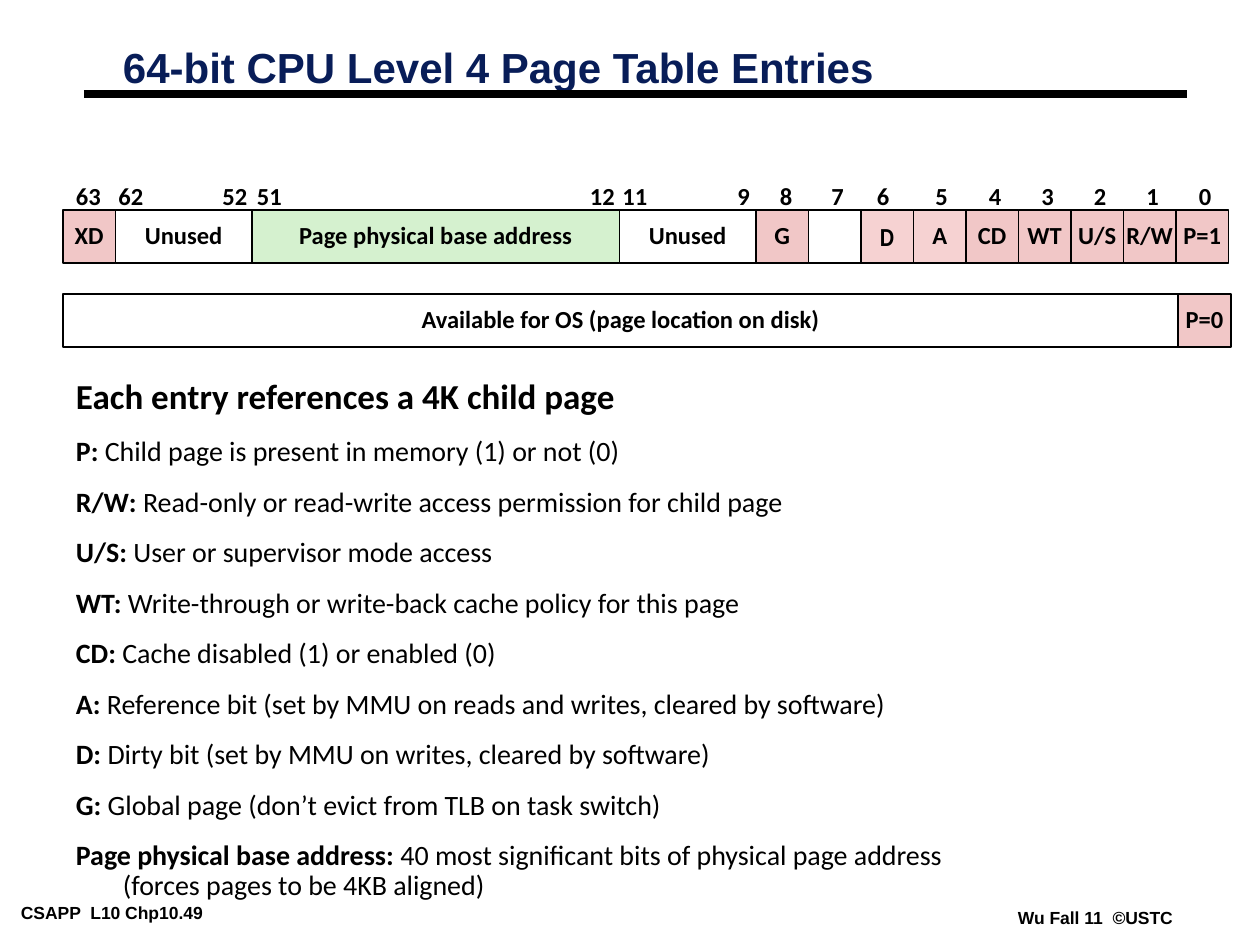
from lxml import etree
from pptx import Presentation
from pptx.dml.color import RGBColor
from pptx.enum.shapes import MSO_CONNECTOR, MSO_SHAPE
from pptx.enum.text import MSO_ANCHOR, MSO_AUTO_SIZE, PP_ALIGN
from pptx.oxml.ns import qn
from pptx.util import Emu, Pt

PX = 914400 / 126
COLORS = {"ink": "000000", "title": "081D58", "none": "FFFFFF",
          "flag": "F1C7C7", "soft": "F6D2D2", "address": "D5F1CF"}

TITLE = "64-bit CPU Level 4 Page Table Entries"
FOOTERS = [("CSAPP  L10 Chp10.49", 13, 898, 265),
           ("Wu Fall 11  ©USTC", 1010, 903, 174)]

# text, width in units, fill, bit labels with their offset from the cell's left
PRESENT_ENTRY = [
    ("XD", 5, "flag", [("63", 0)]),
    ("Unused", 13, "none", [("62", -10), ("52", 94)]),
    ("Page physical base address", 35, "address", [("51", -8), ("12", 325)]),
    ("Unused", 13, "none", [("11", -10), ("9", 105)]),
    ("G", 5, "flag", [("8", 11)]),
    ("", 5, "none", [("7", 10)]),
    ("D", 5, "soft", [("6", 3)]),
    ("A", 5, "soft", [("5", 9)]),
    ("CD", 5, "flag", [("4", 10)]),
    ("WT", 5, "flag", [("3", 10)]),
    ("U/S", 5, "flag", [("2", 10)]),
    ("R/W", 5, "flag", [("1", 10)]),
    ("P=1", 5, "flag", [("0", 10)]),
]
ABSENT_ENTRY = [("Available for OS (page location on disk)", 63, 1115, "none"),
                ("P=0", 1178, 53, "flag")]

HEADING = "Each entry references a 4K child page"
FIELDS = [
    ("P", "Child page is present in memory (1) or not (0)"),
    ("R/W", "Read-only or read-write access permission for child page"),
    ("U/S", "User or supervisor mode access"),
    ("WT", "Write-through or write-back cache policy for this page"),
    ("CD", "Cache disabled (1) or enabled (0)"),
    ("A", "Reference bit (set by MMU on reads and writes, cleared by software)"),
    ("D", "Dirty bit (set by MMU on writes, cleared by software)"),
    ("G", "Global page (don’t evict from TLB on task switch)"),
    ("Page physical base address",
     "40 most significant bits of physical page address (forces pages to be 4KB aligned)"),
]

ENTRY_LEFT, UNIT, CELL_HEIGHT = 63, 105 / 10, 53
PRESENT_TOP, ABSENT_TOP, LABEL_TOP = 210, 294, 179


def px(*values):
    return [Emu(round(v * PX)) for v in values]


def rgb(name):
    return RGBColor.from_string(COLORS[name])


def write(p, text, size=14, font="Calibri", color="ink", bold=True, spacing=0.88,
          align=PP_ALIGN.LEFT, before=None, hang=0):
    """Add a run to p and set p's format; hang is a hanging indent in px."""
    p.alignment = align
    p.line_spacing = spacing
    if before:
        p.space_before = Pt(before)
    if hang:
        indent = px(hang)[0]
        pPr = p._p.get_or_add_pPr()
        pPr.set("marL", str(indent))
        pPr.set("indent", str(-indent))
    r = p.add_run()
    r.text = text
    r.font.size = Pt(size)
    r.font.name = font
    r.font.bold = bold
    r.font.color.rgb = rgb(color)


def set_frame(s, margins=(13, 6), wrap=False, grow=True, anchor=MSO_ANCHOR.TOP):
    tf = s.text_frame
    tf.word_wrap = wrap
    tf.auto_size = MSO_AUTO_SIZE.SHAPE_TO_FIT_TEXT if grow else MSO_AUTO_SIZE.NONE
    tf.vertical_anchor = anchor
    tf.margin_left = tf.margin_right = px(margins[0])[0]
    tf.margin_top = tf.margin_bottom = px(margins[1])[0]
    return tf


def add_text(slide, box, text, margins=(13, 6), **fmt):
    tf = set_frame(slide.shapes.add_textbox(*px(*box)), margins)
    write(tf.paragraphs[0], text, **fmt)


def add_cell(slide, text, x, y, width, fill):
    s = slide.shapes.add_shape(MSO_SHAPE.RECTANGLE, *px(x, y, width, CELL_HEIGHT))
    s.shadow.inherit = False
    s.fill.solid()
    s.fill.fore_color.rgb = rgb(fill)
    s.line.color.rgb = rgb("ink")
    s.line.width = Pt(0.75)
    tf = set_frame(s, grow=False, anchor=MSO_ANCHOR.MIDDLE)
    if text:
        fmt = {"font": "Arial Narrow", "spacing": 1.0} if text == "D" else {}
        write(tf.paragraphs[0], text, align=PP_ALIGN.CENTER, **fmt)


def add_header(slide):
    s = slide.shapes.title
    s.left, s.top, s.width, s.height = px(110, 42, 828, 57)
    tf = set_frame(s, wrap=True, anchor=MSO_ANCHOR.MIDDLE)
    write(tf.paragraphs[0], TITLE, size=24, font="Arial", color="title",
          spacing=0.87, hang=16)
    rule = slide.shapes.add_connector(MSO_CONNECTOR.STRAIGHT, *px(84, 94, 1187, 94))
    rule.line.color.rgb = rgb("ink")
    rule.line.width = Pt(4.5)
    etree.SubElement(rule._element.spPr, qn("a:effectLst"))


def add_entries(slide):
    x = ENTRY_LEFT
    for text, units, fill, labels in PRESENT_ENTRY:
        add_cell(slide, text, x, PRESENT_TOP, units * UNIT, fill)
        for label, dx in labels:
            add_text(slide, (x + dx, LABEL_TOP, 25 + 13 * len(label), 38), label)
        x += units * UNIT
    for text, left, width, fill in ABSENT_ENTRY:
        add_cell(slide, text, left, ABSENT_TOP, width, fill)


def add_field_list(slide):
    tf = set_frame(slide.shapes.add_textbox(*px(63, 374, 955, 534)), wrap=True)
    write(tf.paragraphs[0], HEADING, size=20, hang=47)
    for name, meaning in FIELDS:
        p = tf.add_paragraph()
        write(p, f"{name}: ", size=16, before=12, hang=47)
        write(p, meaning, size=16, bold=False)


def main():
    prs = Presentation()
    prs.slide_width, prs.slide_height = px(1260, 945)
    slide = prs.slides.add_slide(prs.slide_layouts[5])
    add_header(slide)
    for text, x, y, width in FOOTERS:
        add_text(slide, (x, y, width, 28), text, margins=(8, 4),
                 size=10, font="Arial", spacing=1.0)
    add_entries(slide)
    add_field_list(slide)
    prs.save("out.pptx")


if __name__ == "__main__":
    main()
